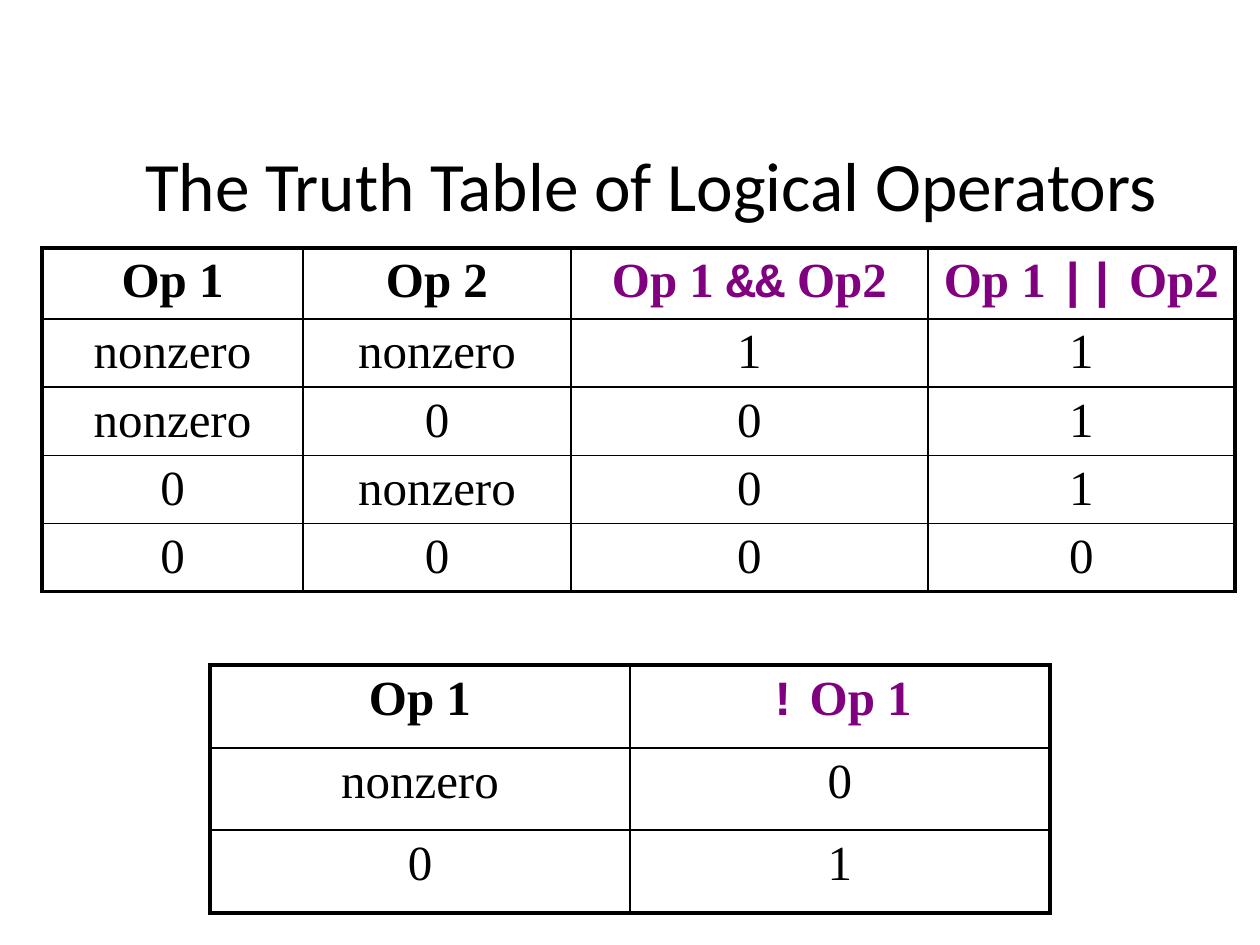
from dataclasses import dataclass

from lxml import etree
from pptx import Presentation
from pptx.dml.color import RGBColor
from pptx.enum.text import MSO_ANCHOR, PP_ALIGN
from pptx.oxml.ns import qn
from pptx.util import Emu, Pt

CENTER = PP_ALIGN.CENTER
TOP = MSO_ANCHOR.TOP
MIDDLE = MSO_ANCHOR.MIDDLE
EMU_PER_PIXEL = 914400 / 126


@dataclass(frozen=True)
class Theme:
    """Colours, fonts, type sizes and line widths of the slide."""
    black: str = "000000"
    purple: str = "800080"
    title_font: str = "Calibri"
    table_font: str = "Times New Roman"
    operator_font: str = "Courier New"
    title_size: float = 39.6
    table_size: float = 28
    outer_line: float = 2.25
    inner_line: float = 1


THEME = Theme()
OPERATORS = ("&&", "||", "!")

# A header cell given as a tuple is an expression, split around its operator.
TABLES = [
    {
        "left": 42, "top": 248,
        "columns": [261, 268, 357, 307],
        "rows": [71, 67, 67, 67, 67],
        "cells": [
            ["Op 1", "Op 2", ("Op 1 ", "&&", " Op2"), ("Op 1 ", "||", " Op2")],
            ["nonzero", "nonzero", "1", "1"],
            ["nonzero", "0", "0", "1"],
            ["0", "nonzero", "0", "1"],
            ["0", "0", "0", "0"],
        ],
    },
    {
        "left": 210, "top": 665,
        "columns": [420, 420],
        "rows": [83, 82, 83],
        "cells": [
            ["Op 1", ("!", " Op 1")],
            ["nonzero", "0"],
            ["0", "1"],
        ],
    },
]


def px(pixels):
    """Turn pixels into EMU."""
    return Emu(round(pixels * EMU_PER_PIXEL))


def add_border(cell, side, is_outer):
    """Draw one side of a cell, thicker on the outside of the table."""
    width = THEME.outer_line if is_outer else THEME.inner_line
    properties = cell._tc.get_or_add_tcPr()
    line = etree.SubElement(properties, qn(f"a:ln{side}"), w=str(Pt(width)))
    fill = etree.SubElement(line, qn("a:solidFill"))
    etree.SubElement(fill, qn("a:srgbClr"), val=THEME.black)


presentation = Presentation()
presentation.slide_width = px(1260)
presentation.slide_height = px(945)
slide = presentation.slides.add_slide(presentation.slide_layouts[6])

title = slide.shapes.add_textbox(px(105), px(105), px(1092), px(157))
title_frame = title.text_frame
title_frame.word_wrap = True
title_frame.vertical_anchor = MIDDLE
paragraph = title_frame.paragraphs[0]
paragraph.text = "The Truth Table of Logical Operators"
paragraph.alignment = CENTER
paragraph.font.name = THEME.title_font
paragraph.font.size = Pt(THEME.title_size)
paragraph.font.color.rgb = RGBColor.from_string(THEME.black)

for data in TABLES:
    widths, heights = data["columns"], data["rows"]
    table = slide.shapes.add_table(
        len(heights), len(widths), px(data["left"]), px(data["top"]),
        px(sum(widths)), px(sum(heights))).table
    table.first_row = False
    table.horz_banding = False
    for column, width in zip(table.columns, widths):
        column.width = px(width)
    for row, height in zip(table.rows, heights):
        row.height = px(height)

    last_row, last_column = len(heights) - 1, len(widths) - 1
    for row_index, row_content in enumerate(data["cells"]):
        for column_index, content in enumerate(row_content):
            cell = table.cell(row_index, column_index)
            is_expression = isinstance(content, tuple)
            cell.vertical_anchor = TOP
            cell.margin_bottom = px(3)
            add_border(cell, "L", column_index == 0)
            add_border(cell, "R", column_index == last_column)
            add_border(cell, "T", row_index == 0)
            add_border(cell, "B", row_index == last_row)
            cell.fill.background()

            paragraph = cell.text_frame.paragraphs[0]
            paragraph.alignment = CENTER
            paragraph.font.size = Pt(THEME.table_size)
            paragraph.font.bold = row_index == 0
            paragraph.font.name = THEME.table_font
            paragraph.font.color.rgb = RGBColor.from_string(
                THEME.purple if is_expression else THEME.black)
            for piece in content if is_expression else (content,):
                run = paragraph.add_run()
                run.text = piece
                if piece in OPERATORS:
                    run.font.name = THEME.operator_font

presentation.save("out.pptx")
